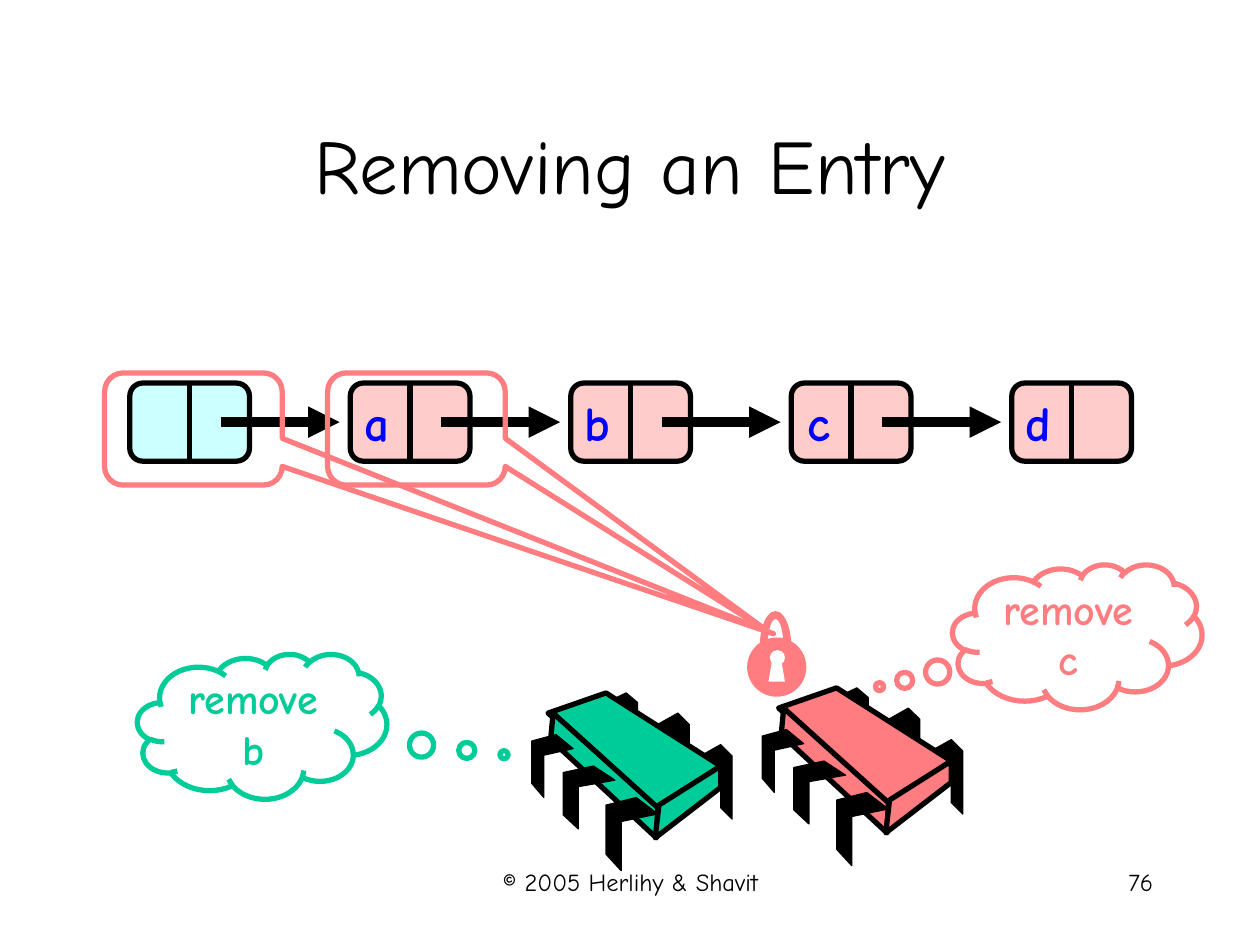
from lxml import etree
from pptx import Presentation
from pptx.dml.color import RGBColor
from pptx.enum.shapes import MSO_CONNECTOR, MSO_SHAPE
from pptx.enum.text import MSO_ANCHOR, PP_ALIGN
from pptx.oxml.ns import qn
from pptx.util import Inches, Pt

STRAIGHT = MSO_CONNECTOR.STRAIGHT
OVAL, ROUNDED, ARC = MSO_SHAPE.OVAL, MSO_SHAPE.ROUNDED_RECTANGLE, MSO_SHAPE.BLOCK_ARC
SPEECH, THOUGHT = MSO_SHAPE.ROUNDED_RECTANGULAR_CALLOUT, MSO_SHAPE.CLOUD_CALLOUT
CENTER, RIGHT = PP_ALIGN.CENTER, PP_ALIGN.RIGHT
TOP, MIDDLE = MSO_ANCHOR.TOP, MSO_ANCHOR.MIDDLE

COLORS = {
    "black": "000000", "white": "FFFFFF", "blue": "0000FF",
    "sentinel": "CCFFFF", "entry": "FFCCCC",
    "green": "00CC99", "red": "FF7C80",
}
COLUMNS, ROWS = 100, 75

# Chip outlines, in grid cells from the chip's top left corner
FAR_LEG = [(0, 0.9), (1.6, 0), (2.5, 0.9), (2.5, 5.9), (1.6, 5), (1.6, 1.7), (0, 2.5)]
FAR_LEG_PLACES = [(13.4, 4.1, 1, 1), (10, 1.6, 1, 1), (5.9, 0, 1, 0.85)]
NEAR_LEG = [(2.4, 0), (4.1, 1.3), (1.2, 1.9), (1.2, 5.8), (0, 4.5), (0, 0.6)]
NEAR_LEG_PLACES = [(5.9, 8.3, 1, 1), (2.5, 5.8, 1, 0.86), (0, 3.3, 0.8, 0.86)]
CHIP_FACES = [
    [(5.9, 0), (15, 5.8), (9.9, 9.3), (1.3, 1.6)],
    [(1.7, 1.6), (10, 9.1), (9.9, 11.5), (1.5, 3.7)],
    [(15, 5.8), (15, 7.5), (9.8, 11.5), (10.1, 8.9)],
]


def rgb(name):
    return RGBColor.from_string(COLORS[name])


class Deck:
    font = "Comic Neue"
    outline = 3

    def __init__(self, width, height):
        self.prs = Presentation()
        self.prs.slide_width, self.prs.slide_height = Inches(width), Inches(height)
        self.cell_w = self.prs.slide_width / COLUMNS
        self.cell_h = self.prs.slide_height / ROWS

    def new_slide(self):
        self.slide = self.prs.slides.add_slide(self.prs.slide_layouts[6])
        self.ungroup()

    def group(self):
        """Place the elements that follow in a new group."""
        self.shapes = self.slide.shapes.add_group_shape().shapes

    def ungroup(self):
        self.shapes = self.slide.shapes

    def emu(self, x, y):
        return round(x * self.cell_w), round(y * self.cell_h)

    def paint(self, shape, fill, line, width):
        shape.shadow.inherit = False
        if fill:
            shape.fill.solid()
            shape.fill.fore_color.rgb = rgb(fill)
        else:
            shape.fill.background()
        if line:
            shape.line.color.rgb = rgb(line)
            shape.line.width = Pt(width)
        else:
            shape.line.fill.background()
        return shape

    def shape(self, kind, box, fill=None, line=None, width=outline):
        shape = self.shapes.add_shape(kind, *self.emu(*box[:2]), *self.emu(*box[2:]))
        return self.paint(shape, fill, line, width)

    def polygon(self, points, place, fill, line=None, width=outline):
        """Draw points moved and stretched by place: x, y, x scale, y scale."""
        x, y, stretch_x, stretch_y = place
        corners = [self.emu(x + px * stretch_x, y + py * stretch_y) for px, py in points]
        builder = self.shapes.build_freeform(*corners[0])
        builder.add_line_segments(corners[1:], close=True)
        return self.paint(builder.convert_to_shape(), fill, line, width)

    def line(self, start, end, width=outline, arrow=False):
        line = self.shapes.add_connector(STRAIGHT, *self.emu(*start), *self.emu(*end))
        line.line.color.rgb = rgb("black")
        line.line.width = Pt(width)
        properties = line._element.spPr
        if arrow:
            etree.SubElement(properties.find(qn("a:ln")), qn("a:tailEnd"), type="triangle")
        etree.SubElement(properties, qn("a:effectLst"))
        return line

    def add_words(self, shape, words, size, color, align=CENTER, anchor=MIDDLE,
                  bold=False, wrap=True):
        frame = shape.text_frame
        frame.word_wrap = wrap
        frame.vertical_anchor = anchor
        frame.margin_left = frame.margin_right = Inches(0.1)
        frame.margin_top = frame.margin_bottom = Inches(0.05)
        paragraph = frame.paragraphs[0]
        paragraph.alignment = align
        run = paragraph.add_run()
        run.text = words
        run.font.name, run.font.size, run.font.bold = self.font, Pt(size), bold
        run.font.color.rgb = rgb(color)

    def text(self, box, words, size, color="black", **layout):
        frame = self.shapes.add_textbox(*self.emu(*box[:2]), *self.emu(*box[2:]))
        self.add_words(frame, words, size, color, **layout)

    def callout(self, kind, box, tip, color):
        """Outline a callout whose tail ends at the grid point tip."""
        bubble = self.shape(kind, box, line=color)
        x, y, w, h = box
        bubble.adjustments[0] = (tip[0] - x - w / 2) / w
        bubble.adjustments[1] = (tip[1] - y - h / 2) / h
        return bubble

    def node(self, x, y, label):
        self.group()
        cell = self.shape(ROUNDED, (x, y, 9.5, 6.2), "entry" if label else "sentinel", "black")
        divider = self.line((x + 4.75, y), (x + 4.75, y + 6.2))
        divider.begin_connect(cell, 0)
        divider.end_connect(cell, 2)
        if label:
            self.text((x + 0.1, y + 0.3, 4, 5.7), label, 28, "blue",
                      align=RIGHT, anchor=TOP, bold=True, wrap=False)
        self.ungroup()

    def chip(self, x, y, color):
        def legs(profile, places):
            for dx, dy, sx, sy in places:
                self.polygon(profile, (x + dx, y + dy, sx, sy), "black", "black", 0.75)

        self.group()
        legs(FAR_LEG, FAR_LEG_PLACES)
        for face in CHIP_FACES:
            self.polygon(face, (x, y, 1, 1), color, "black")
        legs(NEAR_LEG, NEAR_LEG_PLACES)
        self.ungroup()

    def padlock(self, x, y, color):
        self.group()
        self.shape(OVAL, (x, y + 2.1, 4.7, 4.7), color)
        self.shape(OVAL, (x + 1.8, y + 3.1, 1.2, 1.2), "white")
        keyhole = [(0, 1.8), (1.3, 1.8), (1, 0), (0.3, 0)]
        self.polygon(keyhole, (x + 1.7, y + 3.8, 1, 1), "white")
        shackle = self.shape(ARC, (x + 1, y, 2.5, 5.6), color)
        for index, value in enumerate((108, 0, 0.25)):
            shackle.adjustments[index] = value
        self.ungroup()


def main():
    deck = Deck(10, 7.5)
    deck.new_slide()
    deck.text((7.5, 6.7, 85, 12.5), "Removing an Entry", 44)
    deck.shape(OVAL, (64.7, 48.6, 10.9, 11.7), "white", "white", 1)

    first, pitch, list_top = 10.3, 17.5, 30.4
    entries = ["", "a", "b", "c", "d"]
    for index, label in enumerate(entries):
        deck.node(first + index * pitch, list_top, label)
    for index in range(len(entries) - 1):
        start = first + index * pitch + 7.2
        deck.line((start, 33.5), (start + 9.45, 33.5), 6, arrow=True)

    deck.chip(42.2, 55, "green")
    deck.chip(60.5, 54.6, "red")
    deck.padlock(59.3, 48.5, "red")
    for left, tip in ((8.3, (61.4, 50.3)), (26, (60.8, 50))):
        deck.callout(SPEECH, (left, 29.6, 14.1, 8.9), tip, "red")

    for left, top, tip, words, color in (
        (10.9, 51.9, (40, 59.9), "remove b", "green"),
        (75.6, 44.8, (69.8, 54.5), "remove c", "red"),
    ):
        thought = deck.callout(THOUGHT, (left, top, 19.8, 11.5), tip, color)
        deck.add_words(thought, words, 24, color, bold=True)

    deck.text((34.2, 68.3, 31.7, 5), "© 2005 Herlihy & Shavit", 14, anchor=TOP)
    deck.text((71.7, 68.3, 20.8, 5), "76", 14, align=RIGHT, anchor=TOP)
    deck.prs.save("out.pptx")


if __name__ == "__main__":
    main()
